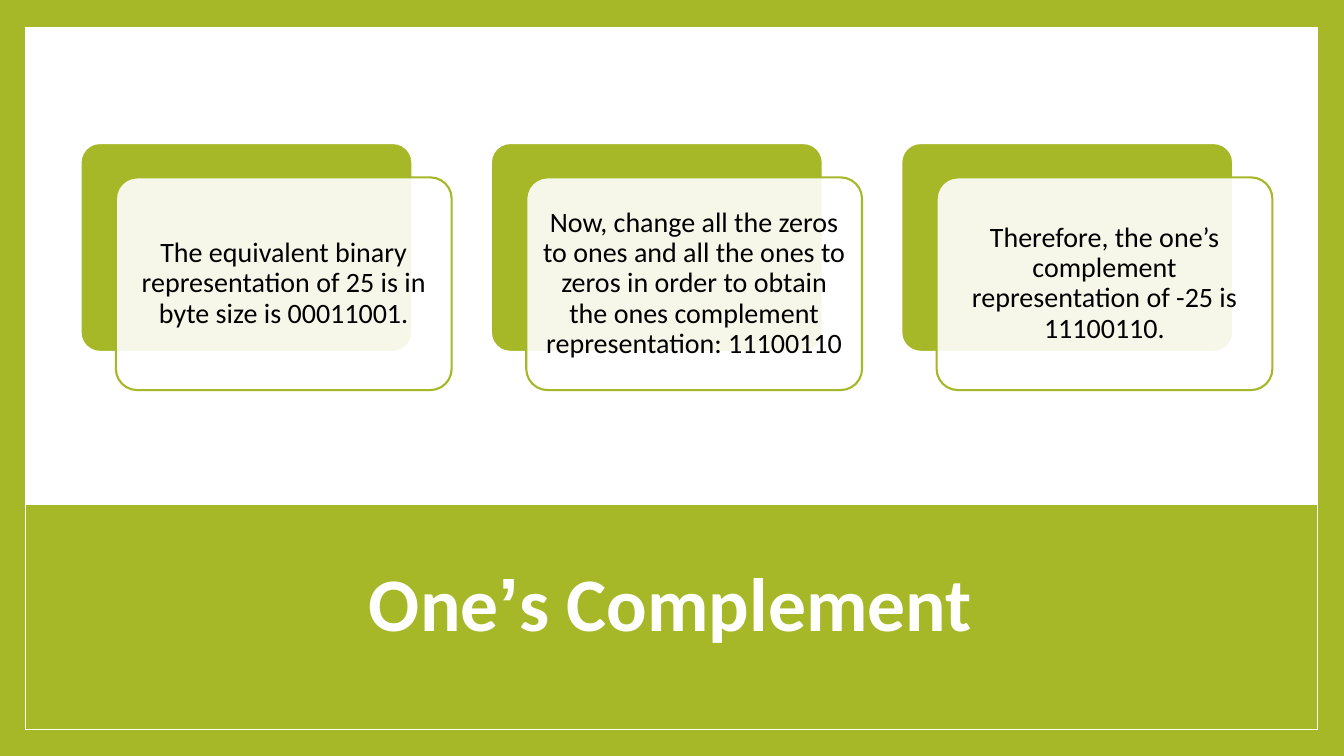
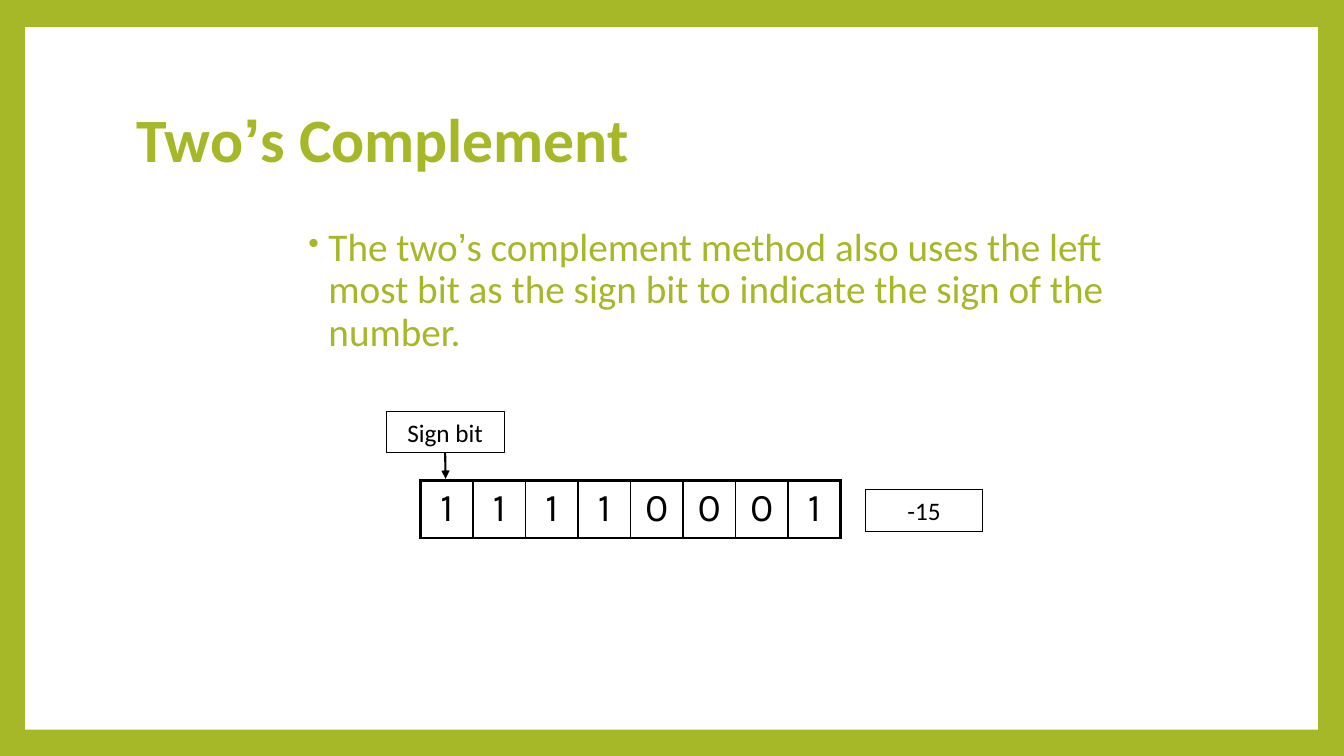
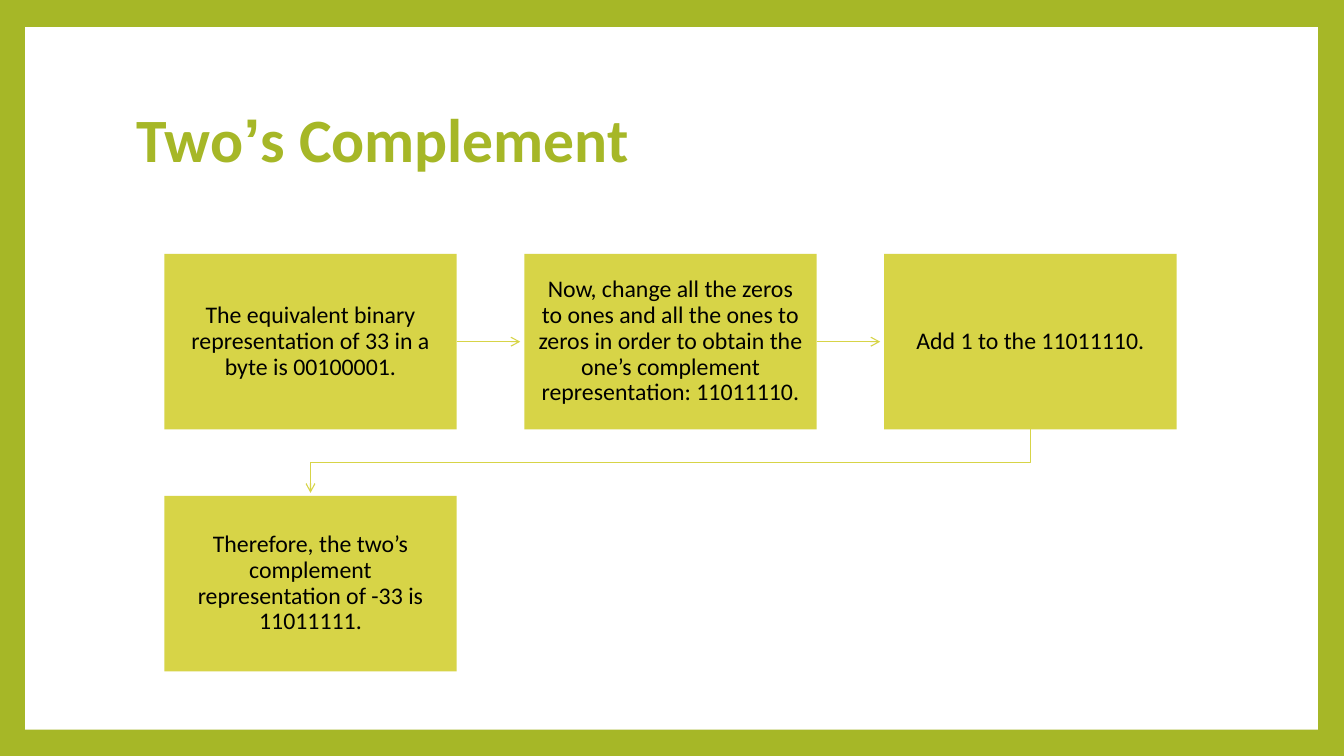
from lxml import etree
from pptx import Presentation
from pptx.dml.color import RGBColor
from pptx.enum.shapes import MSO_CONNECTOR, MSO_SHAPE
from pptx.enum.text import MSO_ANCHOR, PP_ALIGN
from pptx.oxml.ns import qn
from pptx.util import Inches, Pt

RECT, ROUNDED = MSO_SHAPE.RECTANGLE, MSO_SHAPE.ROUNDED_RECTANGLE
STRAIGHT = MSO_CONNECTOR.STRAIGHT
LEFT, CENTER = PP_ALIGN.LEFT, PP_ALIGN.CENTER
TOP, MIDDLE = MSO_ANCHOR.TOP, MSO_ANCHOR.MIDDLE

GREEN, LIME, WHITE, BLACK = "A6B727", "D7D447", "FFFFFF", "000000"
FONT, QUOTE_FONT, DIGIT_FONT = "Calibri", "Arial", "Karla"
PANEL_LEFT, PANEL_WIDTH = 0.25, 12.82
BOTTOM_SIDE, RIGHT_SIDE = 2, 3


def rgb(color):
    return RGBColor.from_string(color)


def add_child(parent, tag, **attributes):
    return etree.SubElement(parent, qn(tag), attributes)


# Text
def style_paragraph(paragraph, size, color, align=CENTER, bold=False,
                    spacing=0.9, font=FONT):
    paragraph.alignment = align
    paragraph.line_spacing = spacing
    paragraph.font.size = Pt(size)
    paragraph.font.name = font
    paragraph.font.bold = bold
    paragraph.font.color.rgb = rgb(color)


def write_quoted(paragraph, text):
    """Write text whose apostrophe has a font of its own."""
    before, quote, after = text.partition("’")
    for part in (before, quote, after):
        paragraph.add_run().text = part
    paragraph.runs[1].font.name = QUOTE_FONT


def set_frame(frame, anchor, inset_x=0.1, inset_y=0.05):
    frame.word_wrap = True
    frame.vertical_anchor = anchor
    frame.margin_left = frame.margin_right = Inches(inset_x)
    frame.margin_top = frame.margin_bottom = Inches(inset_y)


def add_bullet(paragraph, color):
    properties = paragraph._p.get_or_add_pPr()
    properties.set("marL", str(Inches(0.2)))
    properties.set("indent", str(Inches(-0.2)))
    add_child(add_child(properties, "a:buClr"), "a:srgbClr", val=color)
    add_child(properties, "a:buSzPct", val="80000")
    add_child(properties, "a:buChar", char="•")


# Shapes and lines
def add_box(slide, at, fill=None, line=None, line_width=1, kind=RECT):
    box = slide.shapes.add_shape(kind, *map(Inches, at))
    box.shadow.inherit = False
    if kind == ROUNDED:
        box.adjustments[0] = 0.1
    if fill:
        box.fill.solid()
        box.fill.fore_color.rgb = rgb(fill)
    else:
        box.fill.background()
    if line:
        box.line.color.rgb = rgb(line)
        box.line.width = Pt(line_width)
    else:
        box.line.fill.background()
    return box


def write_box(box, text, size, inset_x=0.1, inset_y=0.05, spacing=0.9):
    set_frame(box.text_frame, MIDDLE, inset_x, inset_y)
    paragraph = box.text_frame.paragraphs[0]
    paragraph.text = text
    style_paragraph(paragraph, size, BLACK, spacing=spacing)


def style_arrow(arrow, color, width, head):
    arrow.line.color.rgb = rgb(color)
    arrow.line.width = Pt(width)
    properties = arrow.element.spPr
    add_child(properties.get_or_add_ln(), "a:tailEnd", type=head)
    if properties.find(qn("a:effectLst")) is None:
        add_child(properties, "a:effectLst")


def add_arrow(slide, source, side, start, end, color, width, head):
    arrow = slide.shapes.add_connector(STRAIGHT, *map(Inches, start + end))
    arrow.begin_connect(source, side)
    style_arrow(arrow, color, width, head)


def add_bent_arrow(slide, points, color, width, head):
    start, *rest = [tuple(map(Inches, point)) for point in points]
    builder = slide.shapes.build_freeform(*start)
    builder.add_line_segments(rest, close=False)
    arrow = builder.convert_to_shape()
    arrow.shadow.inherit = False
    arrow.fill.background()
    style_arrow(arrow, color, width, head)


# Shared frame and titles
def dress_layout(layout, slide):
    """Put the green border and white panel on the layout."""
    layout.background.fill.solid()
    layout.background.fill.fore_color.rgb = rgb(GREEN)
    panel = add_box(slide, (PANEL_LEFT, 0.27, PANEL_WIDTH, 6.97), WHITE)
    panel.element.nvSpPr.cNvPr.set("id", "20")
    layout.shapes.element.append(panel.element)


def set_title(slide, text, top=0.67, size=44, color=GREEN, align=LEFT):
    title = slide.shapes.title
    title.left, title.top = Inches(1.25), Inches(top)
    title.width, title.height = Inches(10.8), Inches(1.48)
    set_frame(title.text_frame, MIDDLE)
    paragraph = title.text_frame.paragraphs[0]
    write_quoted(paragraph, text)
    style_paragraph(paragraph, size, color, align, bold=True)


# Slide 1
def add_card(slide, left, text):
    top, width, height = 1.4, 3.33, 2.11
    add_box(slide, (left, top, width, height), GREEN, WHITE, 4.25, ROUNDED)
    front = add_box(slide, (left + 0.37, top + 0.36, width, height),
                    WHITE, GREEN, 1.5, ROUNDED)
    fill = front.element.spPr.find(qn("a:solidFill"))
    add_child(fill[0], "a:alpha", val="90000")
    write_box(front, text, 20, 0.08, 0.08)


def build_ones_complement(slide):
    band = add_box(slide, (PANEL_LEFT, 5, PANEL_WIDTH, 2.24), GREEN, WHITE)
    slide.shapes.title.element.addprevious(band.element)
    set_title(slide, "One’s Complement", 5.28, 54, WHITE, CENTER)
    steps = (
        "The equivalent binary representation of 25 is in byte size is 00011001.",
        "Now, change all the zeros to ones and all the ones to zeros in order "
        "to obtain the ones complement representation: 11100110",
        "Therefore, the one’s complement representation of -25 is 11100110.",
    )
    for index, step in enumerate(steps):
        add_card(slide, 0.78 + 4.07 * index, step)


# Slide 2
def set_cell_borders(cell, **widths):
    properties = cell._tc.get_or_add_tcPr()
    for side in "LRTB":
        border = add_child(properties, f"a:ln{side}", w=str(Pt(widths[side])))
        fill = add_child(border, "a:solidFill")
        add_child(fill, "a:srgbClr", val=BLACK)


def add_bit_table(slide, bits):
    width, thin, thick = 4.17, 1, 2.25
    at = (4.17, 4.77, width, 0.54)
    table = slide.shapes.add_table(1, len(bits), *map(Inches, at)).table
    table.first_row = table.horz_banding = False
    last = len(bits) - 1
    for index, bit in enumerate(bits):
        table.columns[index].width = Inches(width / len(bits))
        cell = table.cell(0, index)
        set_cell_borders(cell, L=thin if index else thick,
                         R=thin if index < last else thick, T=thick, B=thick)
        cell.fill.background()
        paragraph = cell.text_frame.paragraphs[0]
        paragraph.text = bit
        style_paragraph(paragraph, 28, BLACK, spacing=1.0, font=DIGIT_FONT)


def add_label(slide, left, top, text):
    label = add_box(slide, (left, top, 1.17, 0.41), line=BLACK, line_width=0.75)
    write_box(label, text, 18, spacing=1.0)
    return label


def build_sign_bit(slide):
    set_title(slide, "Two’s Complement")
    body = slide.shapes.add_textbox(*map(Inches, (2.96, 2.21, 8.5, 1.38)))
    set_frame(body.text_frame, TOP)
    paragraph = body.text_frame.paragraphs[0]
    write_quoted(paragraph, "The two’s complement method also uses the left "
                 "most bit as the sign bit to indicate the sign of the number.")
    add_bullet(paragraph, GREEN)
    style_paragraph(paragraph, 28, GREEN, LEFT)

    add_bit_table(slide, "11110001")
    sign_bit = add_label(slide, 3.83, 4.08, "Sign bit")
    add_arrow(slide, sign_bit, BOTTOM_SIDE, (4.42, 4.49), (4.42, 4.75),
              BLACK, 1.5, "triangle")
    add_label(slide, 8.58, 4.86, "-15")


# Slide 3
def build_twos_steps(slide):
    set_title(slide, "Two’s Complement")
    steps = (
        "The equivalent binary representation of 33 in a byte is 00100001.",
        "Now, change all the zeros to ones and all the ones to zeros in order "
        "to obtain the one’s complement representation: 11011110.",
        "Add 1 to the 11011110.",
        "Therefore, the two’s complement representation of -33 is 11011111.",
    )
    columns, left, top, width, height = 3, 1.63, 2.52, 2.9, 1.74
    pitch_x, pitch_y, reach = 3.57, 2.4, 0.63
    arrow_style = (LIME, 0.79, "arrow")
    for index, step in enumerate(steps):
        row, column = divmod(index, columns)
        x, y = left + column * pitch_x, top + row * pitch_y
        box = add_box(slide, (x, y, width, height), LIME)
        write_box(box, step, 17, 0.14, 0.15)
        if row == 0 and column < columns - 1:
            end, middle = x + width, y + height / 2
            add_arrow(slide, box, RIGHT_SIDE, (end, middle),
                      (end + reach, middle), *arrow_style)

    first_center = left + width / 2
    last_center = first_center + (columns - 1) * pitch_x
    bottom = top + height
    turn = bottom + (pitch_y - height) / 2
    add_bent_arrow(slide, [(last_center, bottom), (last_center, turn),
                           (first_center, turn), (first_center, bottom + reach)],
                   *arrow_style)


def main():
    deck = Presentation()
    deck.slide_width, deck.slide_height = Inches(13.33), Inches(7.5)
    layout = deck.slide_layouts[5]
    builders = (build_ones_complement, build_sign_bit, build_twos_steps)
    slides = [deck.slides.add_slide(layout) for _ in builders]
    dress_layout(layout, slides[0])
    for build, slide in zip(builders, slides):
        build(slide)
    deck.save("out.pptx")


if __name__ == "__main__":
    main()
